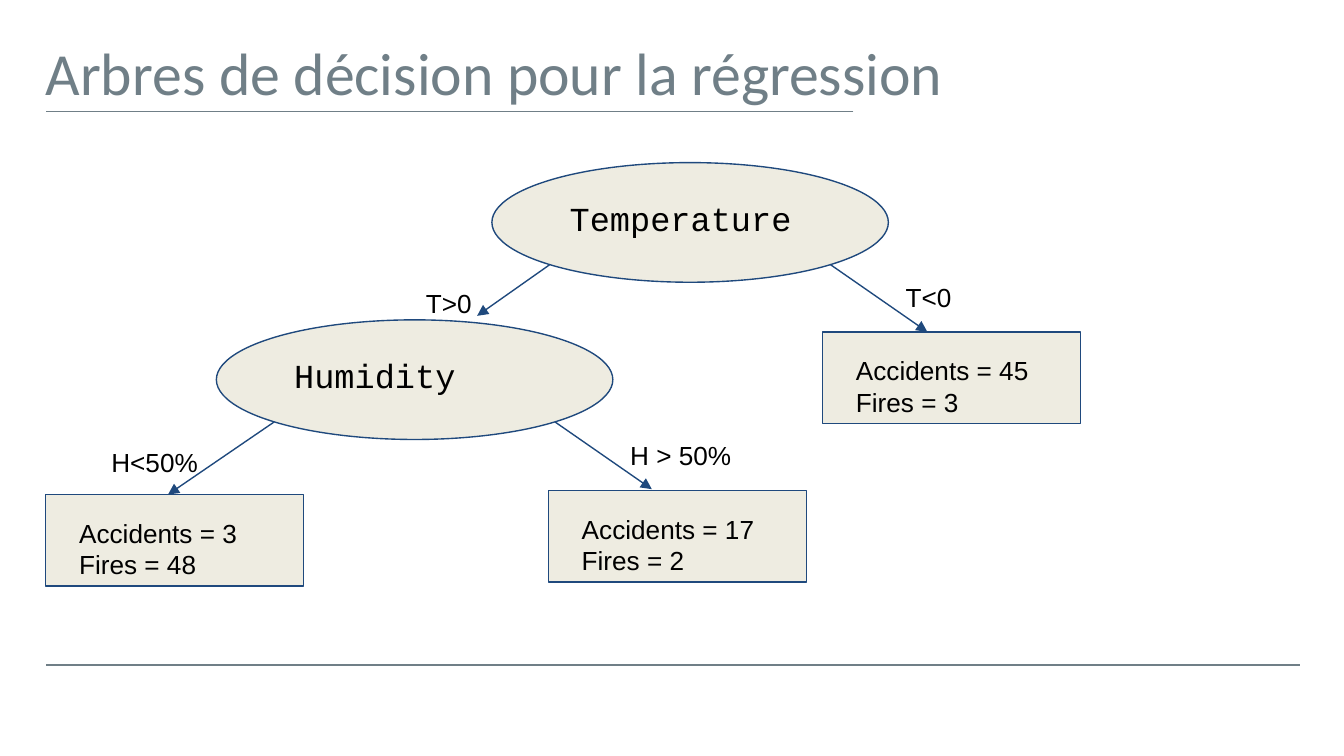
from lxml import etree
from pptx import Presentation
from pptx.dml.color import RGBColor
from pptx.enum.shapes import MSO_CONNECTOR, MSO_SHAPE
from pptx.enum.text import MSO_ANCHOR
from pptx.oxml.ns import qn
from pptx.util import Inches, Pt

GREY, NAVY, CREAM, BLACK = "707F87", "1F497D", "EEECE1", "000000"


def color(hex_string):
    return RGBColor.from_string(hex_string)


def add_text(slide, box, lines, size, font="Arial", hex_color=BLACK, inset=0.1):
    text_box = slide.shapes.add_textbox(*map(Inches, box))
    frame = text_box.text_frame
    frame.word_wrap = True
    frame.vertical_anchor = MSO_ANCHOR.TOP
    frame.margin_left = frame.margin_right = Inches(inset)
    frame.margin_top = frame.margin_bottom = Inches(inset)
    frame.text = "\n".join(lines)
    for paragraph in frame.paragraphs:
        for run in paragraph.runs:
            run.font.size = Pt(size)
            run.font.name = font
            run.font.color.rgb = color(hex_color)


def add_line(slide, start, end, hex_color, width, arrow=False):
    line = slide.shapes.add_connector(
        MSO_CONNECTOR.STRAIGHT, *map(Inches, (*start, *end)))
    line.line.color.rgb = color(hex_color)
    line.line.width = Pt(width)
    properties = line._element.spPr
    if arrow:
        tail = etree.SubElement(properties.get_or_add_ln(), qn("a:tailEnd"))
        tail.set("type", "triangle")
    etree.SubElement(properties, qn("a:effectLst"))


def add_node(slide, preset, box):
    shape = slide.shapes.add_shape(preset, *map(Inches, box))
    shape.shadow.inherit = False
    shape.fill.solid()
    shape.fill.fore_color.rgb = color(CREAM)
    shape.line.color.rgb = color(NAVY)
    shape.line.width = Pt(0.75)


def add_decision(slide, left, top, name):
    add_node(slide, MSO_SHAPE.OVAL, (left, top, 2.95, 0.89))
    add_text(slide, (left + 0.48, top + 0.16, 1.98, 0.43), [name], 18, "Courier New")


def add_leaf(slide, left, top, accidents, fires):
    add_node(slide, MSO_SHAPE.RECTANGLE, (left, top, 1.92, 0.68))
    add_text(slide, (left + 0.15, top + 0.07, 1.68, 0.74),
             [f"Accidents = {accidents}", f"Fires = {fires}"], 14)


def add_branch(slide, start, end, label, label_box):
    add_line(slide, start, end, NAVY, 0.75, arrow=True)
    add_text(slide, label_box, [label], 14)


def main():
    presentation = Presentation()
    # Widescreen, 16:9
    presentation.slide_width = Inches(10)
    presentation.slide_height = Inches(10 * 9 / 16)
    slide = presentation.slides.add_slide(presentation.slide_layouts[6])

    # Title and rules
    add_line(slide, (9.67, 4.95), (0.34, 4.95), GREY, 1)
    add_text(slide, (0.34, 0.27, 9, 0.56),
             ["Arbres de décision pour la régression"], 32, "Calibri", GREY, inset=0)
    add_line(slide, (6.35, 0.83), (0.34, 0.83), GREY, 1)

    # Temperature split
    add_decision(slide, 3.66, 1.21, "Temperature")
    add_branch(slide, (4.09, 1.97), (3.55, 2.35), "T>0", (3.07, 2.04, 1.25, 0.35))
    add_branch(slide, (6.18, 1.97), (6.9, 2.47), "T<0", (6.64, 1.99, 1.09, 0.22))
    add_leaf(slide, 0.34, 3.68, 3, 48)
    add_leaf(slide, 6.12, 2.47, 45, 3)

    # Humidity split
    add_decision(slide, 1.61, 2.38, "Humidity")
    add_branch(slide, (2.04, 3.14), (1.25, 3.68), "H<50%", (0.73, 3.22, 1.54, 0.35))
    add_branch(slide, (4.13, 3.14), (4.85, 3.64), "H > 50%", (4.59, 3.17, 1.09, 0.22))
    add_leaf(slide, 4.08, 3.65, 17, 2)

    presentation.save("out.pptx")


if __name__ == "__main__":
    main()
